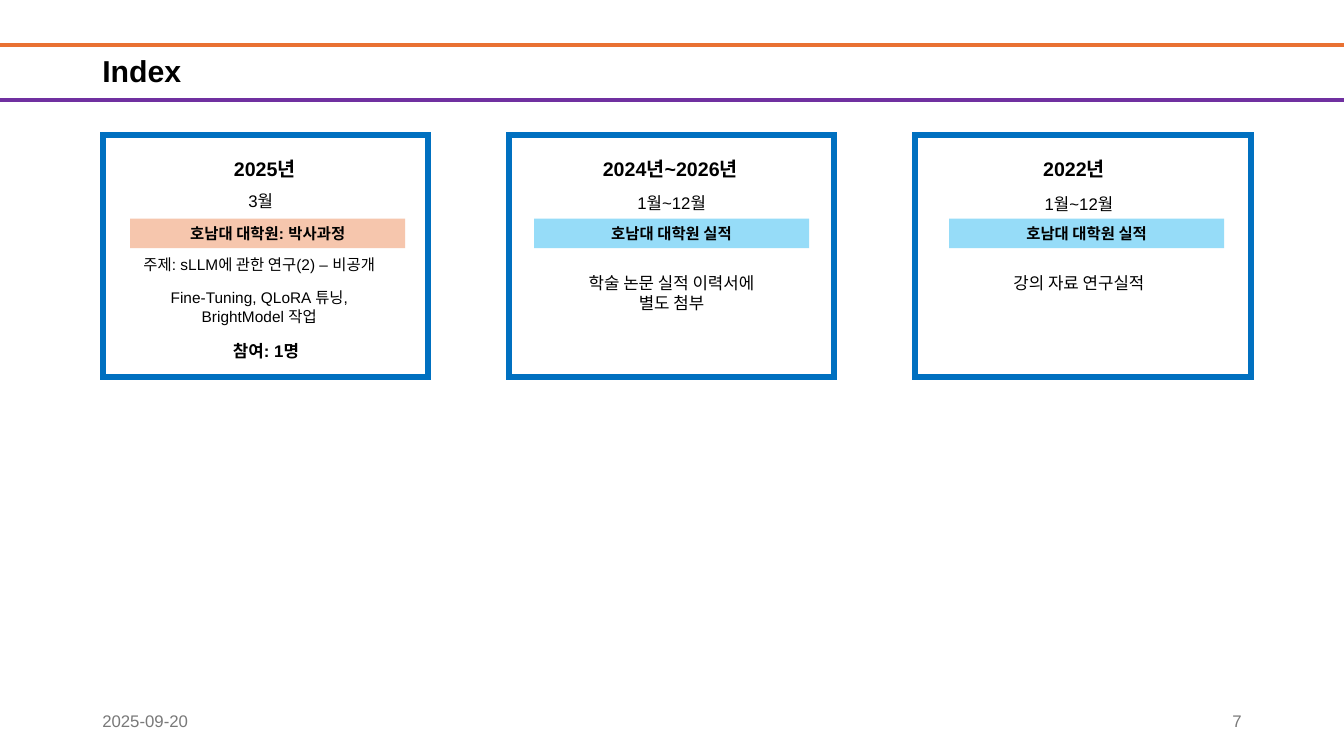
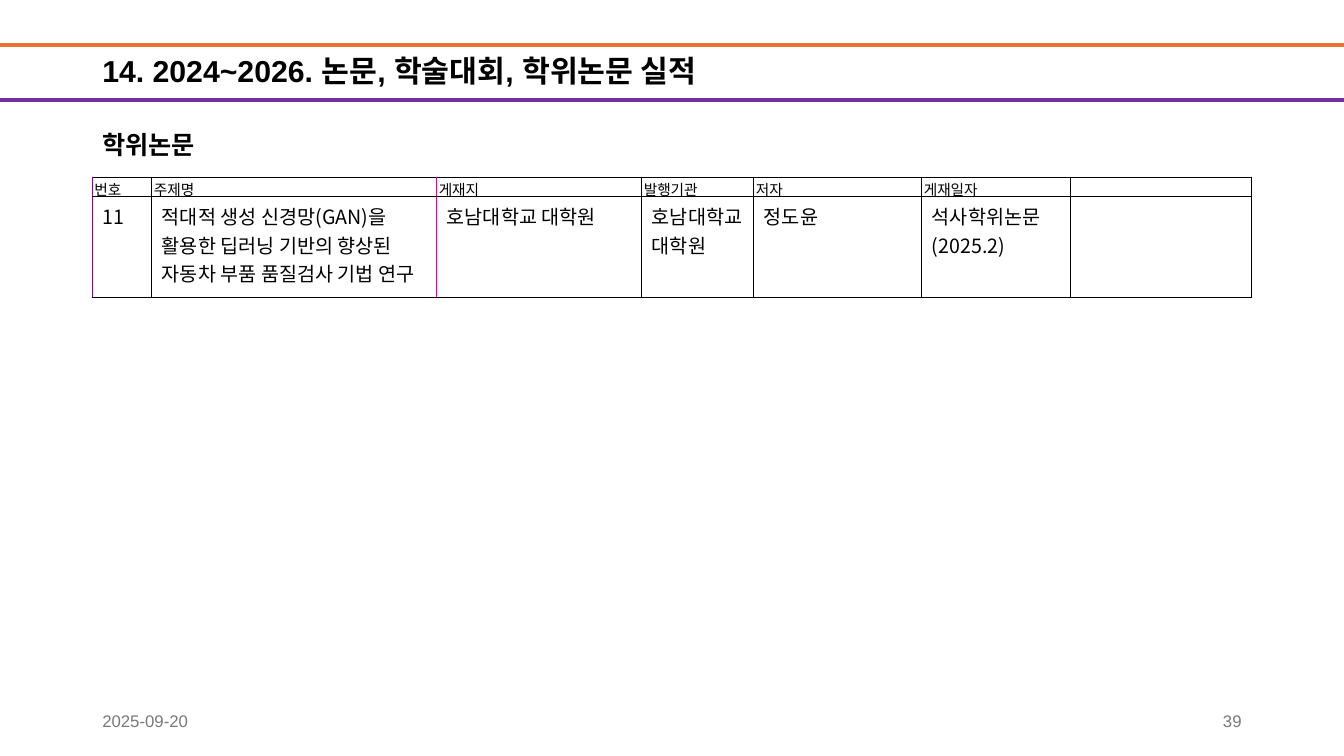
from dataclasses import dataclass

from lxml import etree
from pptx import Presentation
from pptx.dml.color import RGBColor
from pptx.enum.shapes import MSO_CONNECTOR, MSO_SHAPE
from pptx.enum.text import MSO_ANCHOR, PP_ALIGN
from pptx.oxml.ns import qn
from pptx.util import Pt

LINE = MSO_CONNECTOR.STRAIGHT
RECT = MSO_SHAPE.RECTANGLE
TOP, MID = MSO_ANCHOR.TOP, MSO_ANCHOR.MIDDLE
LEFT, MID_X, RIGHT = PP_ALIGN.LEFT, PP_ALIGN.CENTER, PP_ALIGN.RIGHT


@dataclass(frozen=True)
class Theme:
    ink: str = "000000"
    paper: str = "FFFFFF"
    grey: str = "797979"
    orange: str = "E97132"
    purple: str = "7030A0"
    blue: str = "0070C0"
    peach: str = "F6C6AD"
    sky: str = "96DCF8"
    plum: str = "800A88"
    pink: str = "E00A88"
    sans: str = "Arial"
    hangul: str = "Noto Sans CJK KR"
    title: float = 21.6
    head: float = 18
    year: float = 14
    text: float = 12
    small: float = 11
    label: float = 10.5
    cell: float = 14


T = Theme()
WIDE, HIGH = 960, 540
EDGE, SPAN = 66, 828
DATE = "2025-09-20"

# Cards: left, width, year left, band left, tone, year, band text, notes
# Notes: left, top, width, text, size, bold
CARDS = [
    (73.5, 232.5, 160, 93, T.peach, "2025년", "호남대 대학원: 박사과정", [
        (70, 132.5, 232.5, "3월", T.text, False),
        (69, 178.5, 232.5, "주제: sLLM에 관한 연구(2) – 비공개", T.small, False),
        (69, 202.5, 232.5, "Fine-Tuning, QLoRA 튜닝,\nBrightModel 작업", T.small, False),
        (78, 240, 224, "참여: 1명", T.text, True)]),
    (363.5, 232.5, 423.5, 381.5, T.sky, "2024년~2026년", "호남대 대학원 실적", [
        (363.5, 134, 232.5, "1월~12월", T.text, False),
        (363.5, 191, 232.5, "학술 논문 실적 이력서에\v별도 첨부", T.text, False)]),
    (653.5, 240, 738, 678, T.sky, "2022년", "호남대 대학원 실적", [
        (654.5, 134.5, 232.5, "1월~12월", T.text, False),
        (654.5, 191.5, 232.5, "강의 자료 연구실적", T.text, False)]),
]

COLS = [42.5, 203.5, 146.5, 80, 120, 106, 129.5]
ROWS = [
    ["번호", "주제명", "게재지", "발행기관", "저자", "게재일자", ""],
    ["11", "적대적 생성 신경망(GAN)을 활용한 딥러닝 기반의 향상된 자동차 부품 품질검사 기법 연구",
     "호남대학교 대학원", "호남대학교 대학원", "정도윤", "석사학위논문(2025.2)", ""],
]


def rgb(tone):
    return RGBColor.from_string(tone)


def put(item, form):
    for name, value in form.items():
        setattr(item, name, value)


def style(frame, text, size, tone=T.ink, bold=False, face=T.sans, align=LEFT, space=None):
    """Fill a text frame; each line of text is one paragraph."""
    frame.text = text
    for para in frame.paragraphs:
        put(para, {"alignment": align, "line_spacing": space})
        for run in para.runs:
            put(run.font, {"size": Pt(size), "bold": bold, "name": face})
            run.font.color.rgb = rgb(tone)
            if face == T.hangul:
                etree.SubElement(run.font._element, qn("a:ea"), typeface=face)
        if not para.runs:
            # An empty line keeps its type size in the end mark
            etree.SubElement(para._p, qn("a:endParaRPr"), sz=str(int(size * 100)))


def label(slide, box, text, size, anchor=TOP, **form):
    frame = slide.shapes.add_textbox(*map(Pt, box)).text_frame
    put(frame, {"word_wrap": True, "vertical_anchor": anchor})
    style(frame, text, size, **form)


def rule(slide, y, tone):
    line = slide.shapes.add_connector(LINE, 0, Pt(y), Pt(WIDE), Pt(y))
    line.line.color.rgb = rgb(tone)
    line.line.width = Pt(3)
    etree.SubElement(line._element.spPr, qn("a:effectLst"))


def block(slide, box, fill=None, edge=None):
    shape = slide.shapes.add_shape(RECT, *map(Pt, box))
    shape.shadow.inherit = False
    for part, tone in ((shape.fill, fill), (shape.line.fill, edge)):
        if tone:
            part.solid()
            part.fore_color.rgb = rgb(tone)
        else:
            part.background()
    if edge:
        shape.line.width = Pt(4.5)
        # Square corners
        line = shape._element.spPr.find(qn("a:ln"))
        etree.SubElement(line, qn("a:miter"), lim="800000")
    return shape


def page(deck, title, number):
    """Blank slide with rules, title and footer."""
    slide = deck.slides.add_slide(deck.slide_layouts[6])
    rule(slide, 32, T.orange)
    rule(slide, 71.25, T.purple)
    label(slide, (EDGE, 35.5, SPAN, 32.5), title, T.title, MID, bold=True, space=0.9)
    foot = {"anchor": MID, "tone": T.grey}
    label(slide, (EDGE, 500.5, 216, 28.5), DATE, T.text, **foot)
    label(slide, (EDGE + SPAN - 216, 500.5, 216, 28.5), number, T.text, align=RIGHT, **foot)
    return slide


def card(slide, left, width, year_x, band_x, tone, year, name, notes):
    block(slide, (left, 96.5, width, 173), edge=T.blue)
    label(slide, (year_x, 108.5, 140, 24), year, T.year, bold=True)
    band = block(slide, (band_x, 156.25, 196.5, 21), fill=tone).text_frame
    put(band, {"word_wrap": True, "vertical_anchor": TOP})
    style(band, name, T.small, bold=True, align=MID_X)
    for x, y, wide, text, size, bold in notes:
        label(slide, (x, y, wide, 21), text, size, bold=bold, align=MID_X)


def border(cell, tones):
    """Cell borders, placed before the fill as the schema asks."""
    props = cell._tc.get_or_add_tcPr()
    for spot, (side, tone) in enumerate(tones.items()):
        line = etree.Element(qn("a:ln" + side), w=str(Pt(0.75)))
        fill = etree.SubElement(line, qn("a:solidFill"))
        etree.SubElement(fill, qn("a:srgbClr"), val=tone)
        props.insert(spot, line)


def grid(slide, left, top, highs):
    table = slide.shapes.add_table(
        len(ROWS), len(COLS), Pt(left), Pt(top), Pt(sum(COLS)), Pt(sum(highs))).table
    put(table, {"first_row": False, "horz_banding": False})
    for col, wide in zip(table.columns, COLS):
        col.width = Pt(wide)
    # Upright lines: plum at the outer left, pink before the third column
    lines = [T.plum, T.ink, T.pink] + [T.ink] * (len(COLS) - 2)
    thin = {"margin_left": Pt(1.5), "margin_right": Pt(1.5),
            "margin_top": Pt(0.75), "margin_bottom": Pt(0.75)}
    for r, (row, high) in enumerate(zip(ROWS, highs)):
        table.rows[r].height = Pt(high)
        for c, text in enumerate(row):
            cell = table.cell(r, c)
            cell.fill.solid()
            cell.fill.fore_color.rgb = rgb(T.paper)
            if r == 0:
                put(cell, thin)
            style(cell.text_frame, text, T.cell if r else T.label, face=T.hangul)
            border(cell, {"L": lines[c], "R": lines[c + 1], "T": T.ink, "B": T.ink})


def main():
    deck = Presentation()
    put(deck, {"slide_width": Pt(WIDE), "slide_height": Pt(HIGH)})

    # Index cards
    index = page(deck, "Index", "7")
    for item in CARDS:
        card(index, *item)

    # Thesis table
    thesis = page(deck, "14. 2024~2026. 논문, 학술대회, 학위논문 실적", "39")
    label(thesis, (EDGE, 88.5, 268.5, 29), "학위논문", T.head, bold=True, face=T.hangul)
    grid(thesis, EDGE, 126.5, (14, 72))

    deck.save("out.pptx")


if __name__ == "__main__":
    main()
